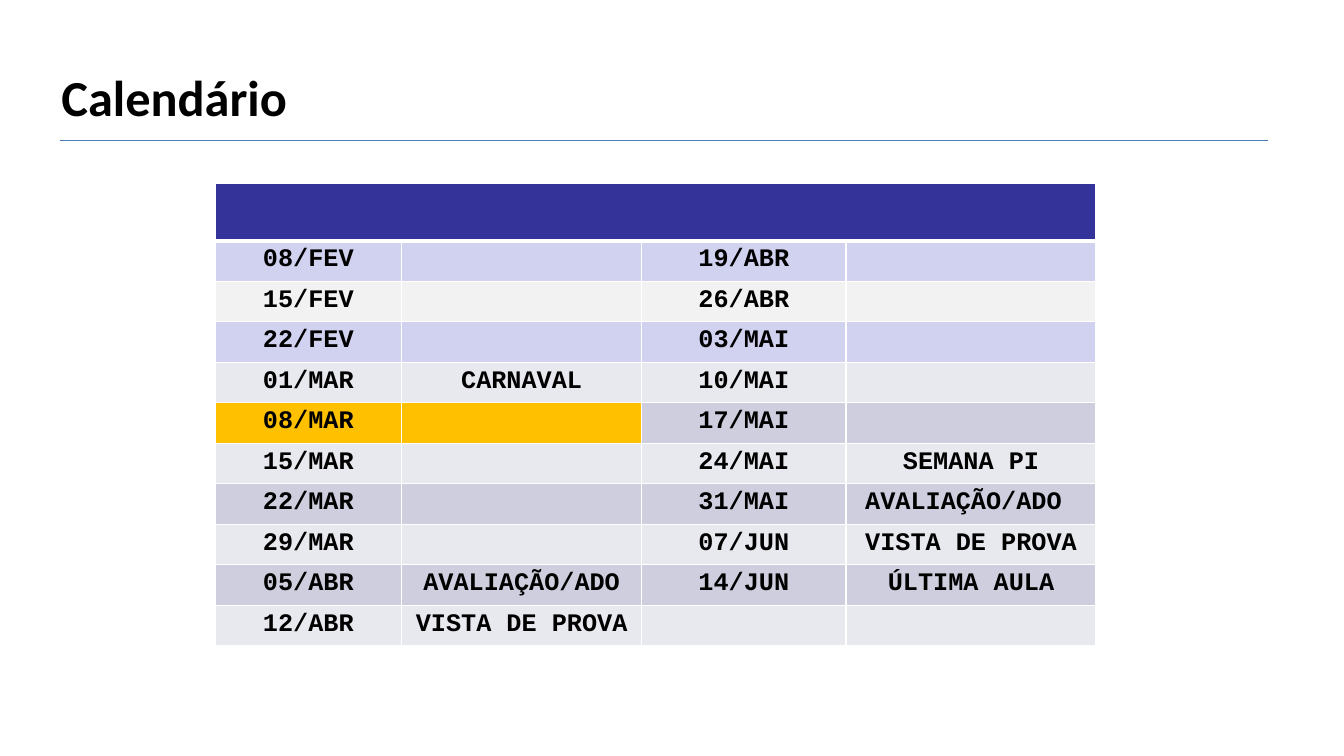
from dataclasses import dataclass

from lxml import etree
from pptx import Presentation
from pptx import util as u
from pptx.dml.color import RGBColor
from pptx.enum import shapes, text
from pptx.oxml import ns

BLACK = RGBColor(0x00, 0x00, 0x00)
WHITE = RGBColor(0xFF, 0xFF, 0xFF)
BLUE = RGBColor(0x4A, 0x7D, 0xBA)
NAVY = RGBColor(0x33, 0x33, 0x99)
LILAC = RGBColor(0xD1, 0xD1, 0xF0)
PALE = RGBColor(0xF2, 0xF2, 0xF2)
MIST = RGBColor(0xE8, 0xE8, 0xEF)
SLATE = RGBColor(0xCE, 0xCE, 0xDE)
GOLD = RGBColor(0xFF, 0xC0, 0x00)

WIDTHS = (4.7, 6.05, 5.15, 6.3)
HEAD = 1.44
STEP = 1.02


@dataclass(frozen=True)
class Week:
    date: str
    event: str = ""
    fill: RGBColor | None = None


FIRST = (
    Week("08/FEV"), Week("15/FEV"), Week("22/FEV"),
    Week("01/MAR", "CARNAVAL"), Week("08/MAR", fill=GOLD),
    Week("15/MAR"), Week("22/MAR"), Week("29/MAR"),
    Week("05/ABR", "AVALIAÇÃO/ADO"), Week("12/ABR", "VISTA DE PROVA"),
)
LAST = (
    Week("19/ABR"), Week("26/ABR"), Week("03/MAI"), Week("10/MAI"),
    Week("17/MAI"), Week("24/MAI", "SEMANA PI"),
    Week("31/MAI", "AVALIAÇÃO/ADO "), Week("07/JUN", "VISTA DE PROVA"),
    Week("14/JUN", "ÚLTIMA AULA"), Week(""),
)


def add_run(par, words: str, face: str, size: int) -> None:
    run = par.add_run()
    run.text = words
    run.font.name = face
    run.font.size = u.Pt(size)
    run.font.bold = True
    run.font.color.rgb = BLACK


def add_edges(cell, base: float = 1) -> None:
    """Give a cell white borders; base is the width of the lower one."""
    props = cell._tc.get_or_add_tcPr()
    for side, width in (("L", 1), ("R", 1), ("T", 1), ("B", base)):
        line = etree.SubElement(props, ns.qn(f"a:ln{side}"), w=str(u.Pt(width)))
        fill = etree.SubElement(line, ns.qn("a:solidFill"))
        etree.SubElement(fill, ns.qn("a:srgbClr"), val=str(WHITE))


def paint(cell, color: RGBColor) -> None:
    cell.fill.solid()
    cell.fill.fore_color.rgb = color


def fill_cell(cell, words: str, color: RGBColor) -> None:
    add_edges(cell)
    paint(cell, color)
    par = cell.text_frame.paragraphs[0]
    par.alignment = text.PP_ALIGN.CENTER
    if words:
        add_run(par, words, "Courier New", 18)
    else:
        par.font.size = u.Pt(18)


def shade(row: int) -> RGBColor:
    """Return the band colour, which turns greyer after three weeks."""
    dark, light = (LILAC, PALE) if row < 3 else (SLATE, MIST)
    return light if row % 2 else dark


def add_title(slide) -> None:
    box = slide.shapes.add_textbox(u.Cm(1.3), u.Cm(1.52), u.Cm(22.83), u.Cm(1.8))
    box.text_frame.word_wrap = True
    box.text_frame.vertical_anchor = text.MSO_ANCHOR.MIDDLE
    add_run(box.text_frame.paragraphs[0], "Calendário", "Calibri", 36)


def add_rule(slide) -> None:
    rule = slide.shapes.add_connector(
        shapes.MSO_CONNECTOR.STRAIGHT, u.Cm(1.5), u.Cm(3.53), u.Cm(31.95), u.Cm(3.53))
    rule.line.color.rgb = BLUE
    rule.line.width = u.Pt(0.75)
    etree.SubElement(rule._element.spPr, ns.qn("a:effectLst"))


def add_weeks(slide) -> None:
    count = len(FIRST)
    frame = slide.shapes.add_table(
        count + 1, len(WIDTHS), u.Cm(5.42), u.Cm(4.63),
        u.Cm(sum(WIDTHS)), u.Cm(HEAD + count * STEP))
    table = frame.table
    for col, width in zip(table.columns, WIDTHS):
        col.width = u.Cm(width)
    for row, height in zip(table.rows, [HEAD] + [STEP] * count):
        row.height = u.Cm(height)

    for cell in table.rows[0].cells:
        add_edges(cell, 3)
        paint(cell, NAVY)
    table.cell(0, 0).merge(table.cell(0, len(WIDTHS) - 1))

    for row, pair in enumerate(zip(FIRST, LAST)):
        for half, week in enumerate(pair):
            color = week.fill or shade(row)
            for col, words in enumerate((week.date, week.event), 2 * half):
                fill_cell(table.cell(row + 1, col), words, color)


def main() -> None:
    deck = Presentation()
    deck.slide_width = u.Cm(33.87)
    deck.slide_height = u.Cm(19.05)
    slide = deck.slides.add_slide(deck.slide_layouts[6])
    add_title(slide)
    add_rule(slide)
    add_weeks(slide)
    deck.save("out.pptx")


if __name__ == "__main__":
    main()
